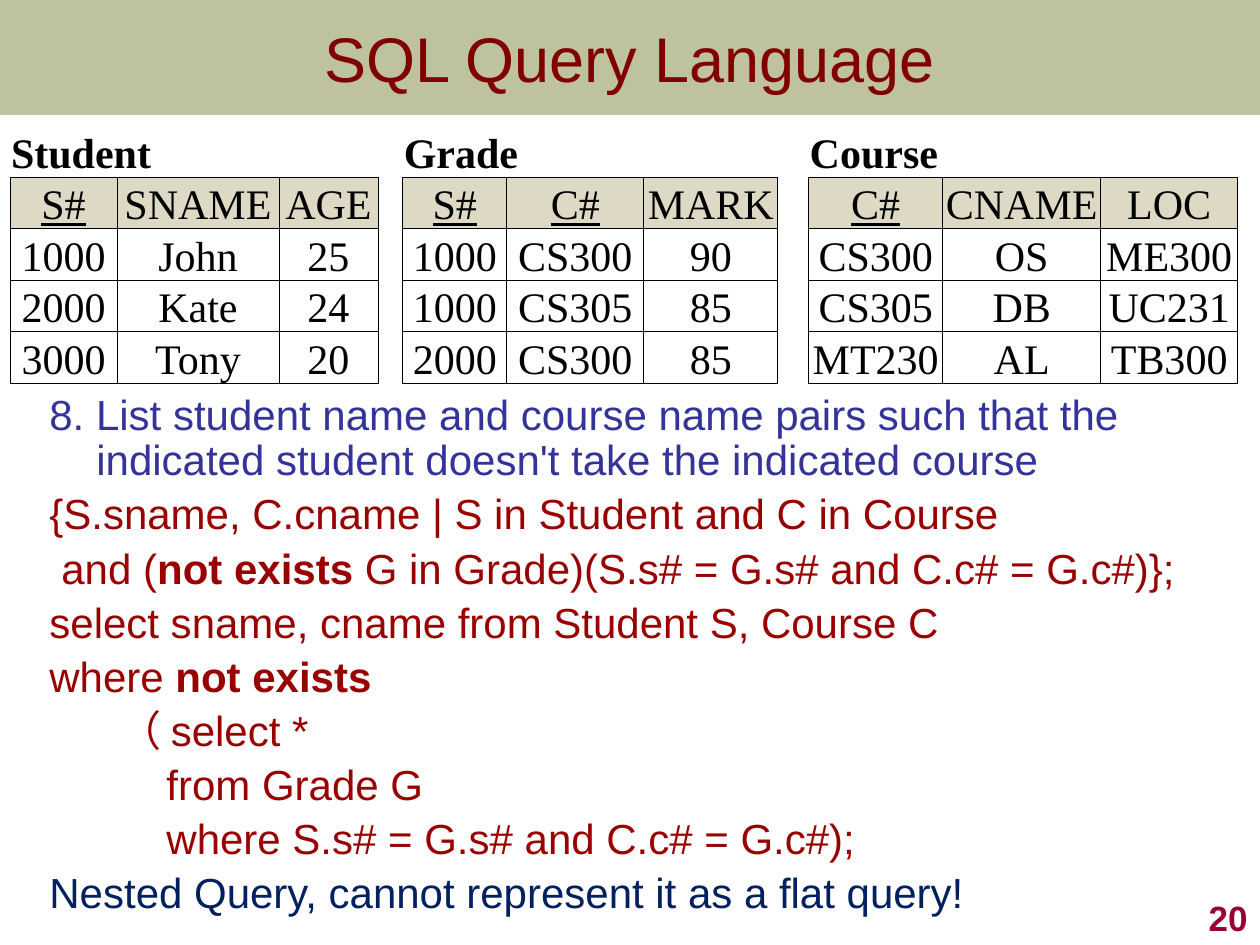
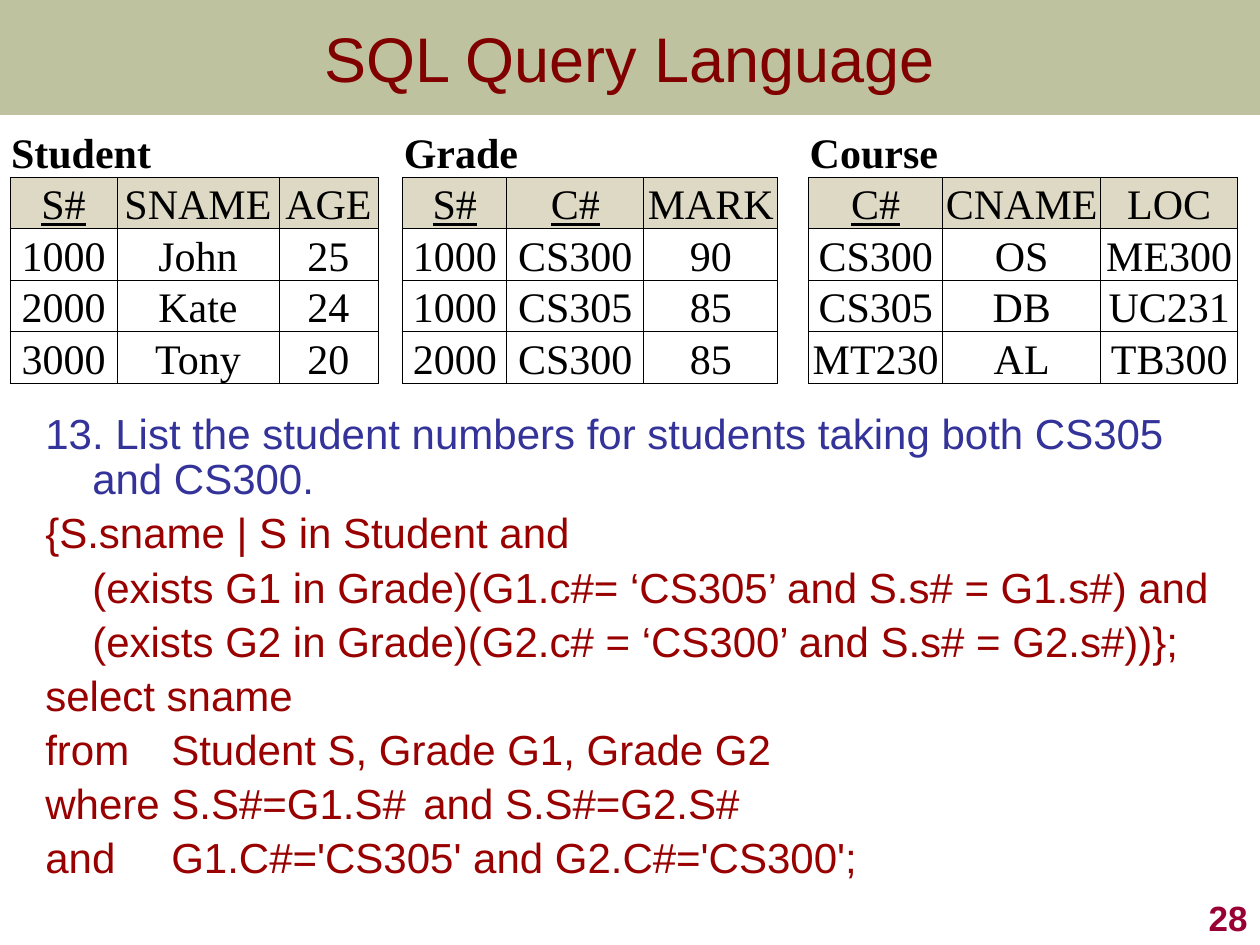
from lxml.etree import SubElement
from pptx import Presentation
from pptx.dml.color import RGBColor
from pptx.enum.shapes import MSO_SHAPE
from pptx.enum.text import MSO_ANCHOR, PP_ALIGN
from pptx.oxml.ns import qn
from pptx.util import Pt

COLORS = {
    "band": "6E7524", "title": "800000", "number": "990033",
    "question": "333399", "code": "990000", "remark": "002060",
    "header": "DDD9C4", "white": "FFFFFF", "black": "000000",
}
HANG = 47  # hanging indent of the question
ROW_H = 48
GAPS = [25, 31]  # empty columns between the relations

# name, column widths, key columns, rows (header first)
RELATIONS = [
    ("Student", [107, 162, 99], {"S#"},
     [["S#", "SNAME", "AGE"], ["1000", "John", "25"],
      ["2000", "Kate", "24"], ["3000", "Tony", "20"]]),
    ("Grade", [104, 137, 134], {"S#", "C#"},
     [["S#", "C#", "MARK"], ["1000", "CS300", "90"],
      ["1000", "CS305", "85"], ["2000", "CS300", "85"]]),
    ("Course", [134, 158, 137], {"C#"},
     [["C#", "CNAME", "LOC"], ["CS300", "OS", "ME300"],
      ["CS305", "DB", "UC231"], ["MT230", "AL", "TB300"]]),
]

# Each line: colour, left offset, text (** switches bold), optional tab stop
SLIDES = [
    ("20", (37, 388, 1166, 546), [
        ("question", 0, "8. List student name and course name pairs such that "
                        "the indicated student doesn't take the indicated course"),
        ("code", 0, "{S.sname, C.cname | S in Student and C in Course"),
        ("code", 12, "and (**not exists** G in Grade)"
                     "(S.s# = G.s# and C.c# = G.c#)};"),
        ("code", 0, "select sname, cname from Student S, Course C"),
        ("code", 0, "where **not exists"),
        ("code", 70, "（ select *"),
        ("code", 117, "from Grade G"),
        ("code", 117, "where S.s# = G.s# and C.c# = G.c#);"),
        ("remark", 0, "Nested Query, cannot represent it as a flat query!"),
    ]),
    ("28", (33, 407, 1196, 538), [
        ("question", 0, "13. List the student numbers for students taking "
                        "both CS305 and CS300."),
        ("code", 0, "{S.sname | S in Student and"),
        ("code", HANG, "(exists G1 in Grade)(G1.c#= ‘CS305’ and S.s# = G1.s#) and"),
        ("code", HANG, "(exists G2 in Grade)(G2.c# = ‘CS300’ and S.s# = G2.s#))};"),
        ("code", 0, "select sname"),
        ("code", 0, "from\tStudent S, Grade G1, Grade G2", 119),
        ("code", 0, "where S.S#=G1.S#\tand S.S#=G2.S#", 384),
        ("code", 0, "and\tG1.C#='CS305' and G2.C#='CS300';", 128),
    ]),
]


def px(n):
    return round(n * 914400 / 126)


def rgb(name):
    return RGBColor.from_string(COLORS[name])


def add_run(p, text, size, color, font="Arial", bold=False, underline=False):
    r = p.add_run()
    r.text = text
    f = r.font
    f.size, f.name, f.bold, f.underline = Pt(size), font, bold, underline
    f.color.rgb = rgb(color)


def title_band(s, box):
    sp = s.shapes.add_shape(MSO_SHAPE.RECTANGLE, *map(px, box))
    sp.shadow.inherit = False
    sp.line.fill.background()
    sp.fill.solid()
    sp.fill.fore_color.rgb = rgb("band")
    fill = sp.fill._xPr.find(qn("a:solidFill"))
    SubElement(fill[0], qn("a:alpha"), val="44000")
    tf = sp.text_frame
    tf.vertical_anchor = MSO_ANCHOR.MIDDLE
    p = tf.paragraphs[0]
    p.alignment = PP_ALIGN.CENTER
    add_run(p, "SQL Query Language", 36, "title")


def page_number(s, box, number):
    tf = s.shapes.add_textbox(*map(px, box)).text_frame
    tf.word_wrap = True
    tf.vertical_anchor = MSO_ANCHOR.BOTTOM
    p = tf.paragraphs[0]
    p.alignment = PP_ALIGN.RIGHT
    add_run(p, number, 20, "number", bold=True)


def query_text(s, box, lines):
    tf = s.shapes.add_textbox(*map(px, box)).text_frame
    tf.word_wrap = True
    tf.margin_right = 0
    for i, (color, left, text, *tabs) in enumerate(lines):
        p = tf.add_paragraph() if i else tf.paragraphs[0]
        p.line_spacing = 0.9
        if i:
            p.space_before = Pt(5)
        hang = HANG if color == "question" else 0
        pPr = p._p.get_or_add_pPr()
        pPr.set("marL", str(px(left + hang)))
        pPr.set("indent", str(px(-hang)))
        if tabs:
            tab_list = SubElement(pPr, qn("a:tabLst"))
            for stop in tabs:
                SubElement(tab_list, qn("a:tab"), pos=str(px(stop)), algn="l")
        for j, part in enumerate(text.split("**")):
            add_run(p, part, 24, color, bold=j % 2 == 1)


def style_cell(cell, fill, edges):
    """Set margins, the black edges named in edges (of "LRTB") and the fill."""
    cell.margin_left = cell.margin_right = cell.margin_top = px(1)
    cell.margin_bottom = 0
    cell.vertical_anchor = MSO_ANCHOR.BOTTOM
    tcPr = cell._tc.get_or_add_tcPr()
    for side in "LRTB":
        ln = SubElement(tcPr, qn("a:ln" + side), w=str(Pt(0.5)))
        if side in edges:
            color = SubElement(ln, qn("a:solidFill"))
            SubElement(color, qn("a:srgbClr"), val=COLORS["black"])
        else:
            SubElement(ln, qn("a:noFill"))
    cell.fill.solid()
    cell.fill.fore_color.rgb = rgb(fill)


def relations_table(s, left, top):
    widths = []
    for (_, cols, _, _), gap in zip(RELATIONS, GAPS + [None]):
        widths += cols + ([gap] if gap else [])
    n_rows = 1 + len(RELATIONS[0][3])
    frame = s.shapes.add_table(n_rows, len(widths), px(left), px(top),
                               px(sum(widths)), px(ROW_H * n_rows))
    table = frame.table
    table.first_row = table.horz_banding = False
    for col, width in zip(table.columns, widths):
        col.width = px(width)
    for row in table.rows:
        row.height = px(ROW_H)

    first = 0
    for name, cols, keys, rows in RELATIONS:
        last = first + len(cols) - 1
        # Relation name over its columns
        for c in range(first, last + 1):
            style_cell(table.cell(0, c), "white", "B")
        head = table.cell(0, first)
        head.merge(table.cell(0, last))
        add_run(head.text_frame.paragraphs[0], name, 24, "black",
                "Times New Roman", bold=True)
        # Header and records
        for i, record in enumerate(rows):
            for j, value in enumerate(record):
                cell = table.cell(i + 1, first + j)
                style_cell(cell, "white" if i else "header", "LRTB")
                p = cell.text_frame.paragraphs[0]
                p.alignment = PP_ALIGN.CENTER
                add_run(p, value, 24, "black", "Times New Roman",
                        underline=not i and value in keys)
        # Empty column up to the next relation
        first = last + 2
        if first < len(widths):
            for i in range(n_rows):
                style_cell(table.cell(i, last + 1), "white", "LR" if i else "")


def query_slide(prs, number, box, lines):
    s = prs.slides.add_slide(prs.slide_layouts[6])
    title_band(s, (0, 0, 1260, 115))
    query_text(s, box, lines)
    relations_table(s, 10, 126)
    page_number(s, (998, 882, 262, 63), number)


def main():
    prs = Presentation()
    prs.slide_width, prs.slide_height = px(1260), px(945)
    for number, box, lines in SLIDES:
        query_slide(prs, number, box, lines)
    prs.save("out.pptx")


if __name__ == "__main__":
    main()
